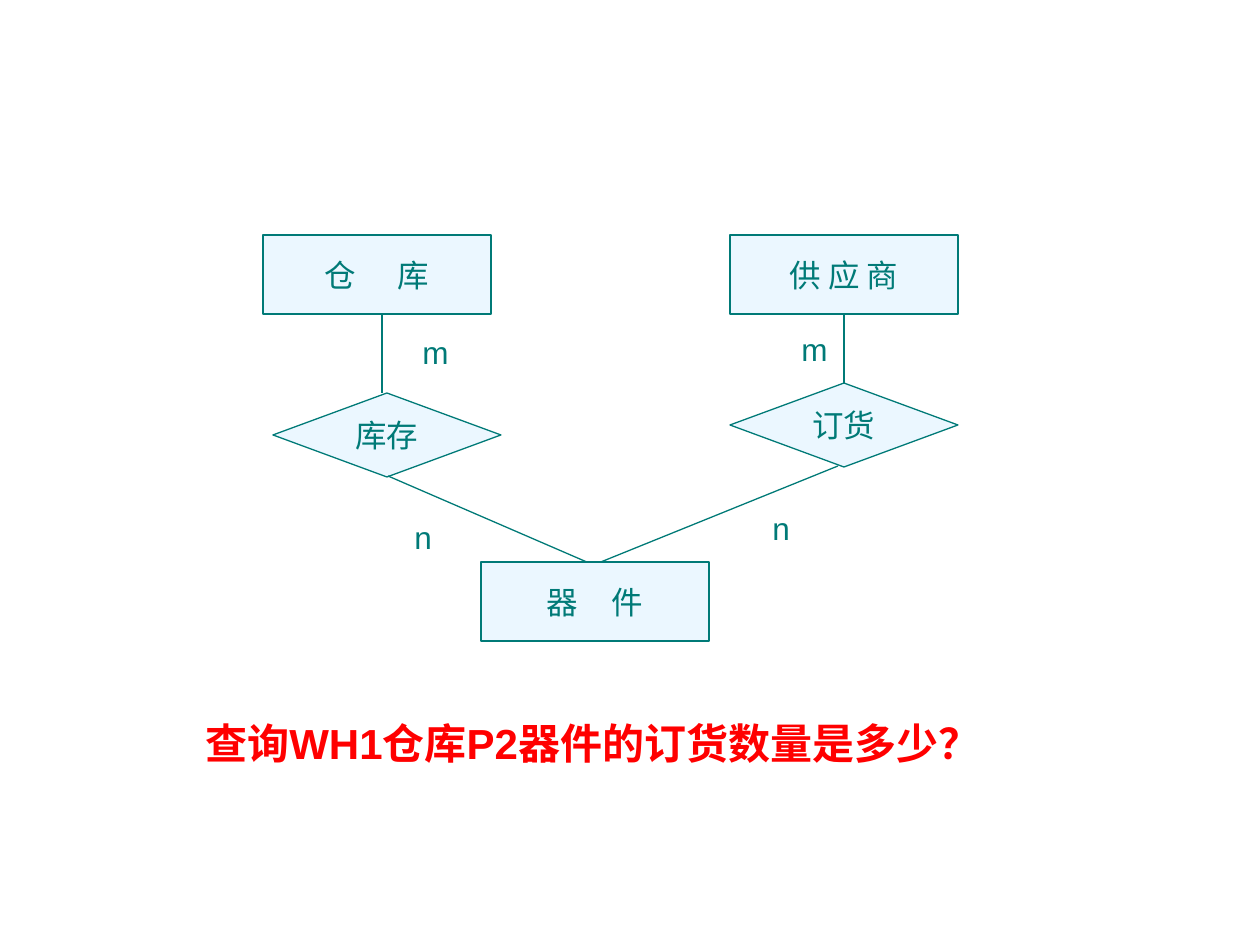
"""Build a slide with an entity-relation diagram and a query about it."""
from typing import NamedTuple

from lxml import etree
from pptx import Presentation
from pptx.dml.color import RGBColor
from pptx.enum.shapes import MSO_CONNECTOR, MSO_SHAPE
from pptx.enum.text import MSO_ANCHOR, MSO_AUTO_SIZE, PP_ALIGN
from pptx.oxml.ns import qn
from pptx.util import Emu, Pt

RECT = MSO_SHAPE.RECTANGLE
RHOMB = MSO_SHAPE.FLOWCHART_DECISION
STRAIGHT = MSO_CONNECTOR.STRAIGHT
MIDDLE = MSO_ANCHOR.MIDDLE
CENTER = PP_ALIGN.CENTER
FIT = MSO_AUTO_SIZE.SHAPE_TO_FIT_TEXT
TEAL = RGBColor(0x00, 0x7A, 0x77)
PALE = RGBColor(0xEB, 0xF7, 0xFF)
RED = RGBColor(0xFF, 0x00, 0x00)
FONT = "Arial"
SCALE = 914400 / 126
NODE_W = 228
HIGH = {RECT: 79, RHOMB: 84}


class Node(NamedTuple):
    kind: MSO_SHAPE
    x: int
    y: int
    text: str
    gap: int = 0


class Link(NamedTuple):
    x1: int
    y1: int
    x2: int
    y2: int


class Label(NamedTuple):
    x: int
    y: int
    w: int
    h: int
    text: str
    size: int = 18
    color: RGBColor = TEAL
    bold: bool = False
    wrap: bool = False


ENDS = [
    Node(RECT, 263, 235, "仓 库", 20),
    Node(RECT, 730, 235, "供 应 商"),
    Node(RHOMB, 273, 393, "库存"),
    Node(RHOMB, 730, 383, "订货"),
]
PART = Node(RECT, 481, 562, "器 件", 15)
LINKS = [
    Link(382, 314, 382, 393),
    Link(388, 476, 596, 566),
    Link(838, 466, 591, 566),
    Link(844, 314, 844, 383),
]
LABELS = [
    Label(410, 327, 52, 50, "m"),
    Label(789, 324, 52, 50, "m"),
    Label(402, 512, 43, 50, "n"),
    Label(760, 503, 43, 50, "n"),
    Label(193, 711, 834, 63, "查询WH1仓库P2器件的订货数量是多少？", 24, RED, True, True),
]


def px(num: int) -> Emu:
    """Turn px into EMU."""
    return Emu(round(num * SCALE))


def add_run(para, text: str, size: int, color: RGBColor, bold: bool = False):
    """Add one formatted run."""
    run = para.add_run()
    run.text = text
    font = run.font
    font.name, font.size, font.bold = FONT, Pt(size), bold
    font.color.rgb = color
    return run


def add_node(shapes, node: Node) -> None:
    """Draw an entity or relation, widening its spaces by the gap in points."""
    shape = shapes.add_shape(node.kind, px(node.x), px(node.y), px(NODE_W), px(HIGH[node.kind]))
    shape.shadow.inherit = False
    shape.fill.solid()
    shape.fill.fore_color.rgb = PALE
    shape.line.color.rgb = TEAL
    shape.line.width = Pt(0.75)
    frame = shape.text_frame
    frame.word_wrap = False
    frame.vertical_anchor = MIDDLE
    para = frame.paragraphs[0]
    para.alignment = CENTER
    parts = node.text if node.gap else [node.text]
    for part in parts:
        run = add_run(para, part, 18, TEAL)
        if part == " ":
            run.font._element.set("spc", str(node.gap * 100))


def add_link(shapes, link: Link) -> None:
    """Draw a plain line."""
    line = shapes.add_connector(STRAIGHT, *map(px, link))
    line.line.color.rgb = TEAL
    line.line.width = Pt(0.75)
    etree.SubElement(line._element.spPr, qn("a:effectLst"))


def add_label(shapes, label: Label) -> None:
    """Draw a text box."""
    frame = shapes.add_textbox(*map(px, label[:4])).text_frame
    frame.word_wrap = label.wrap
    frame.auto_size = FIT
    add_run(frame.paragraphs[0], label.text, label.size, label.color, label.bold)


def main() -> None:
    """Build and save the slide."""
    deck = Presentation()
    deck.slide_width, deck.slide_height = px(1260), px(945)
    shapes = deck.slides.add_slide(deck.slide_layouts[6]).shapes
    for node in ENDS:
        add_node(shapes, node)
    for link in LINKS:
        add_link(shapes, link)
    add_node(shapes, PART)
    for label in LABELS:
        add_label(shapes, label)
    deck.save("out.pptx")


if __name__ == "__main__":
    main()
